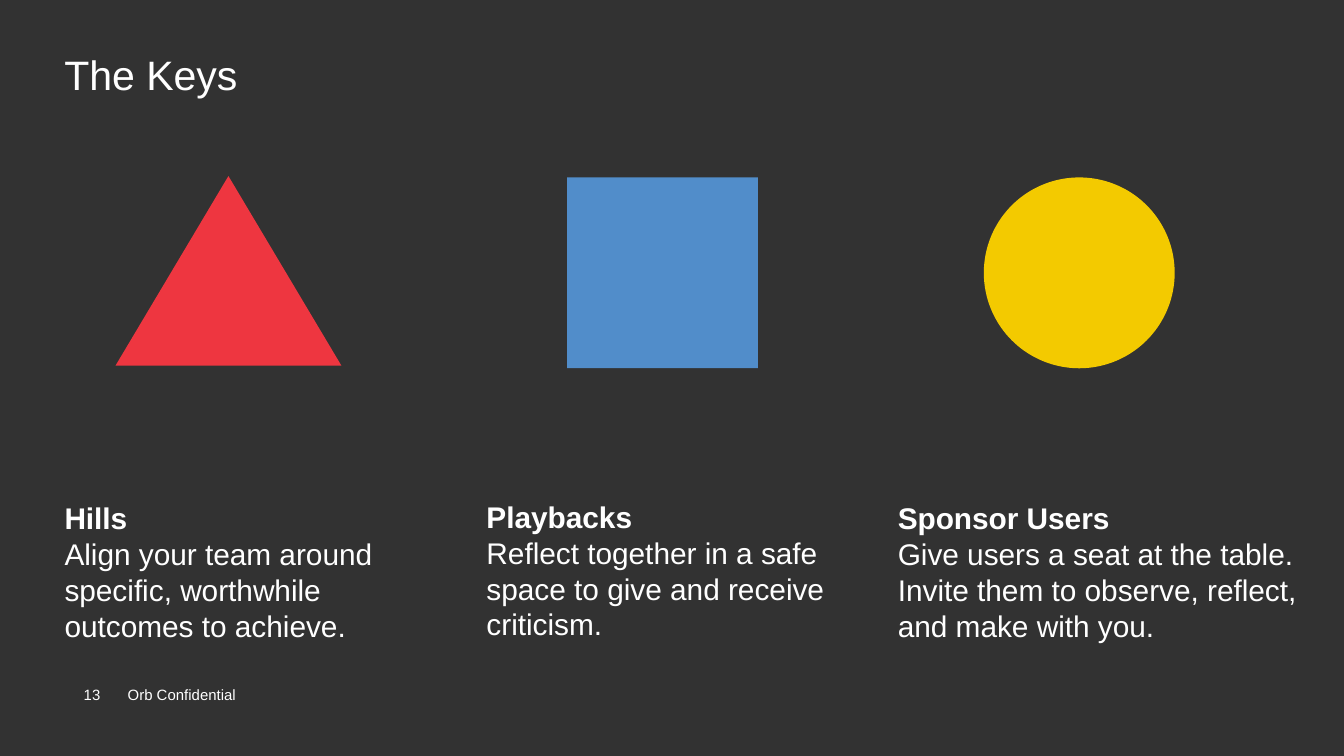
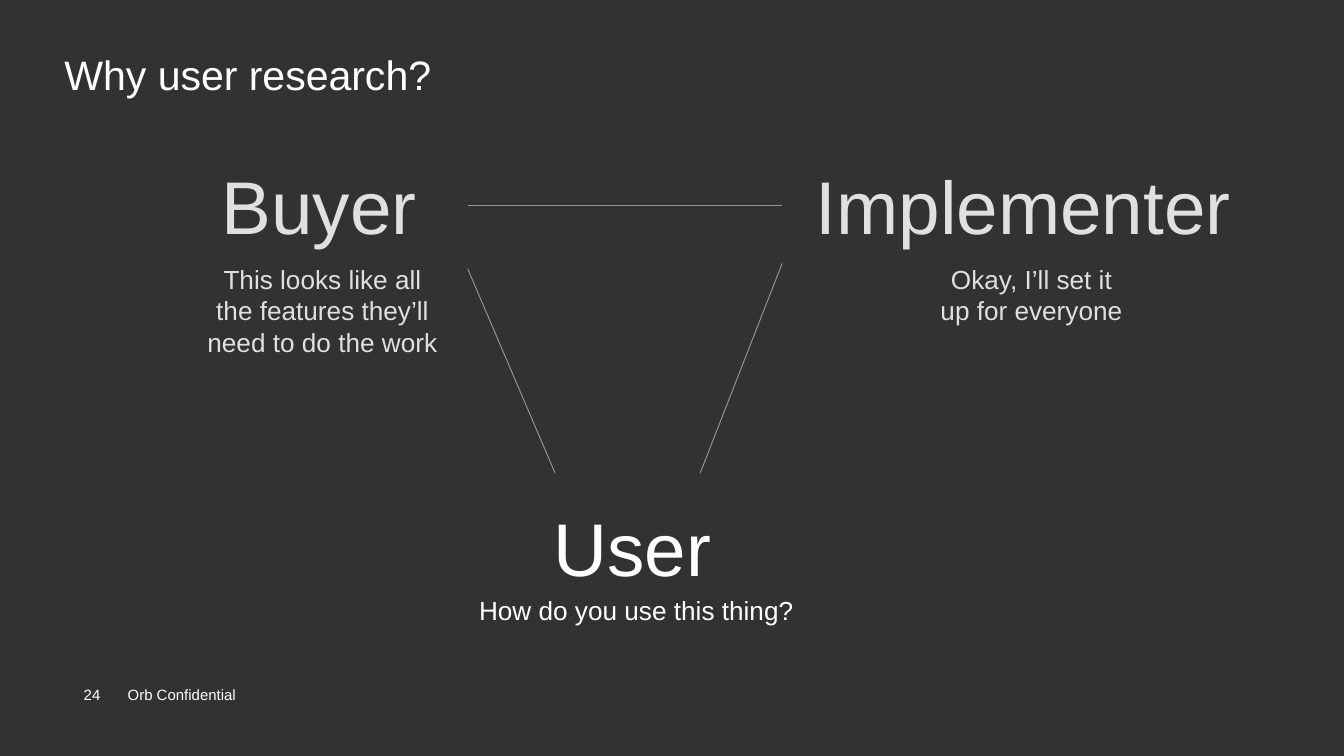
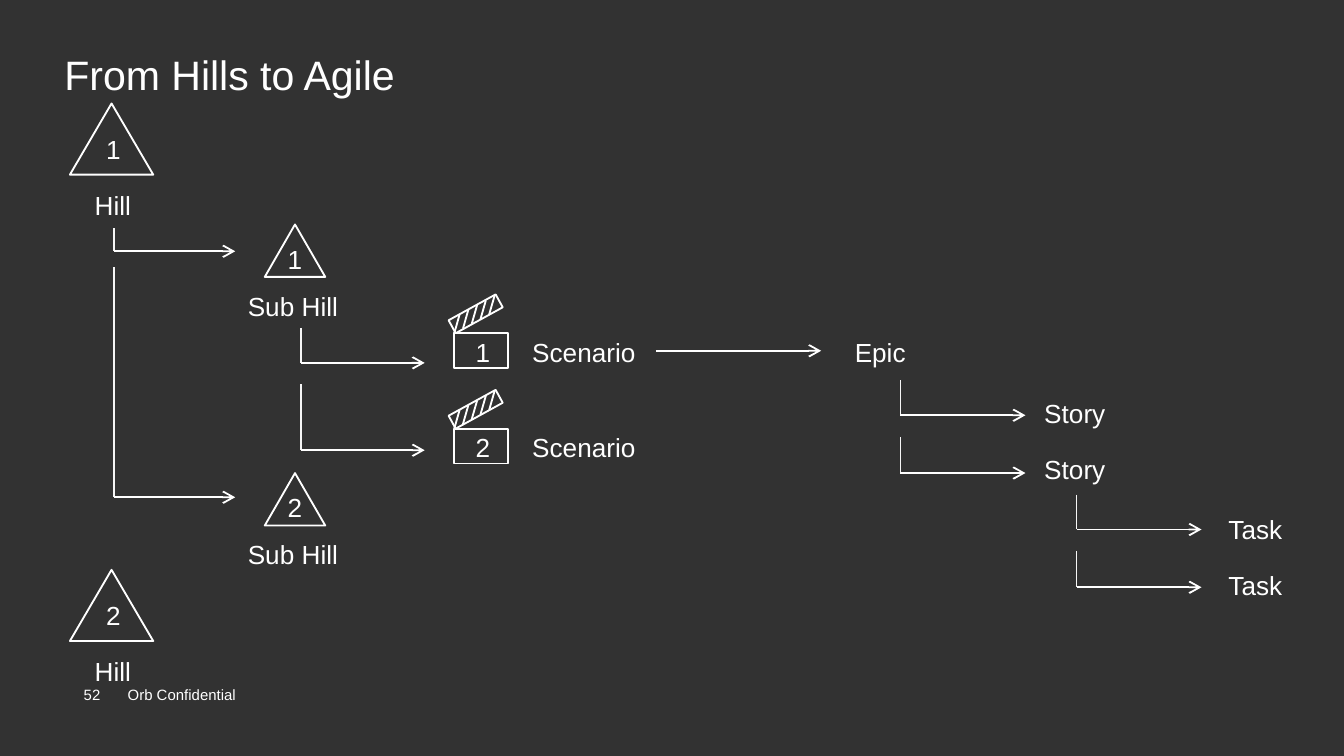
from dataclasses import dataclass
from typing import NamedTuple, Optional

from lxml import etree
from pptx import Presentation
from pptx import util as u
from pptx.dml import color as c
from pptx.enum import shapes, text
from pptx.oxml import ns


@dataclass(frozen=True)
class Theme:
    font: str = "Arial"
    back: str = "323232"
    white: str = "FFFFFF"
    stem: str = "F6F6F6"
    soft: str = "E0E0E0"
    grey: str = "959595"
    red: str = "EE3640"
    blue: str = "518DCA"
    yellow: str = "F3CA00"
    title: int = 22
    role: int = 40
    body: int = 16
    label: int = 14
    footer: int = 8
    thin: float = 0.5
    line: float = 1


THEME = Theme()
SHAPE = shapes.MSO_SHAPE
CENTER = text.PP_ALIGN.CENTER
MIDDLE = text.MSO_ANCHOR.MIDDLE
LABEL_HEIGHT = 0.24


class Key(NamedTuple):
    name: str
    detail: str
    left: float
    top: float
    width: float


class Role(NamedTuple):
    name: str
    left: float
    top: float
    width: float
    quote: str
    quote_left: float
    quote_top: float
    quote_width: float
    color: str


class HillStyle(NamedTuple):
    """Triangle place and size, with offsets of its number and label."""
    name: str
    left: float
    width: float
    height: float
    number_x: float
    number_y: float
    label_x: float
    label_y: float
    label_width: float


class Elbow(NamedTuple):
    left: float
    top: float
    right: float
    bottom: float


class Label(NamedTuple):
    words: str
    left: float
    top: float
    width: float


# Drawing helpers

def add_text(page, words: str, left: float, top: float, width: float,
             height: float = LABEL_HEIGHT, *, size: int = THEME.label,
             color: str = THEME.white, align=None, anchor=text.MSO_ANCHOR.TOP,
             wrap: bool = True, bold_first: bool = False,
             spacing: Optional[float] = None) -> None:
    box = page.shapes.add_textbox(*map(u.Inches, (left, top, width, height)))
    frame = box.text_frame
    frame.margin_left = frame.margin_right = 0
    frame.margin_top = frame.margin_bottom = 0
    frame.word_wrap = wrap
    frame.vertical_anchor = anchor
    for index, content in enumerate(words.split("\n")):
        para = frame.paragraphs[0] if index == 0 else frame.add_paragraph()
        para.alignment = align
        para.line_spacing = spacing
        span = para.add_run()
        span.text = content
        span.font.name = THEME.font
        span.font.size = u.Pt(size)
        span.font.bold = bold_first and index == 0
        span.font.color.rgb = c.RGBColor.from_string(color)


def paint(shape, fill: Optional[str] = None) -> None:
    """Fill a shape plainly, or outline it in white when no fill is given."""
    shape.shadow.inherit = False
    if fill:
        shape.fill.solid()
        shape.fill.fore_color.rgb = c.RGBColor.from_string(fill)
        shape.line.fill.background()
    else:
        shape.fill.background()
        shape.line.color.rgb = c.RGBColor.from_string(THEME.white)
        shape.line.width = u.Pt(THEME.line)


def add_shape(page, kind, left: float, top: float, width: float, height: float,
              *, fill: Optional[str] = None, rotation: float = 0) -> None:
    shape = page.shapes.add_shape(
        kind, *map(u.Inches, (left, top, width, height)))
    shape.rotation = rotation
    paint(shape, fill)


def add_line(page, x1: float, y1: float, x2: float, y2: float, *,
             color: str = THEME.white, width: float = THEME.line,
             arrow: bool = False) -> None:
    line = page.shapes.add_connector(
        shapes.MSO_CONNECTOR.STRAIGHT, *map(u.Inches, (x1, y1, x2, y2)))
    line.line.color.rgb = c.RGBColor.from_string(color)
    line.line.width = u.Pt(width)
    properties = line._element.spPr
    if arrow:
        outline = properties.find(ns.qn("a:ln"))
        etree.SubElement(outline, ns.qn("a:tailEnd"), type="arrow")
    etree.SubElement(properties, ns.qn("a:effectLst"))


def add_page(deck, title: str, number: int):
    """Add a dark page with its title, page number and footer."""
    page = deck.slides.add_slide(deck.slide_layouts[6])
    page.background.fill.solid()
    page.background.fill.fore_color.rgb = c.RGBColor.from_string(THEME.back)
    add_text(page, title, 0.48, 0.41, 9, 0.34, size=THEME.title, spacing=0.9)
    add_text(page, "Orb Confidential", 0.95, 5.06, 1.5, 0.22,
             size=THEME.footer, anchor=MIDDLE)
    add_text(page, str(number), 0.48, 5.06, 0.41, 0.22,
             size=THEME.footer, align=CENTER, anchor=MIDDLE)
    return page


# The Keys

KEYS = (
    Key("Hills", "Align your team around specific, worthwhile outcomes to achieve.",
        0.48, 3.72, 2.85),
    Key("Playbacks", "Reflect together in a safe space to give and receive criticism.",
        3.62, 3.71, 2.87),
    Key("Sponsor Users", "Give users a seat at the table. "
        "Invite them to observe, reflect, and make with you.", 6.68, 3.72, 2.98),
)


def build_keys(deck) -> None:
    page = add_page(deck, "The Keys", 13)
    for key in KEYS:
        add_text(page, f"{key.name}\n{key.detail}", key.left, key.top,
                 key.width, 1.12, size=THEME.body, bold_first=True)
    apex, *base = [(u.Inches(x), u.Inches(y))
                   for x, y in ((1.7, 1.31), (2.54, 2.72), (0.86, 2.72))]
    outline = page.shapes.build_freeform(*apex)
    outline.add_line_segments(base, close=True)
    paint(outline.convert_to_shape(), THEME.red)
    add_shape(page, SHAPE.RECTANGLE, 4.22, 1.32, 1.42, 1.42, fill=THEME.blue)
    add_shape(page, SHAPE.OVAL, 7.32, 1.32, 1.42, 1.42, fill=THEME.yellow)


# Why user research?

ROLES = (
    Role("Implementer", 6.07, 1.19, 3.21, "Okay, I’ll set it up for everyone",
         6.95, 1.96, 1.45, THEME.soft),
    Role("Buyer", 1.65, 1.19, 1.53,
         "This looks like all the features they’ll need to do the work",
         1.52, 1.96, 1.76, THEME.soft),
    Role("User", 4.12, 3.73, 1.25, "How do you use this thing?",
         3.52, 4.42, 2.43, THEME.white),
)
ROLE_LINKS = (
    (3.48, 1.53, 5.82, 1.53),
    (3.48, 2, 4.13, 3.52),
    (5.82, 1.96, 5.21, 3.52),
)


def build_research(deck) -> None:
    page = add_page(deck, "Why user research?", 24)
    for role in ROLES:
        add_text(page, role.name, role.left, role.top, role.width, 0.67,
                 size=THEME.role, color=role.color, anchor=MIDDLE, wrap=False)
        add_text(page, role.quote, role.quote_left, role.quote_top,
                 role.quote_width, color=role.color, align=CENTER)
    for link in ROLE_LINKS:
        add_line(page, *link, color=THEME.grey, width=THEME.thin)


# From Hills to Agile

HILL = HillStyle("Hill", 0.52, 0.62, 0.53, 0.27, 0.22, 0.16, 0.64, 0.32)
SUB_HILL = HillStyle("Sub Hill", 1.97, 0.45, 0.39, 0.17, 0.14, -0.17, 0.49, 0.76)
HILLS = ((HILL, 1, 0.77), (SUB_HILL, 1, 1.67), (SUB_HILL, 2, 3.52), (HILL, 2, 4.24))
SCENARIO_TOPS = (2.48, 3.19)
WORK_ITEMS = (
    Label("Epic", 6.36, 2.5, 0.68),
    Label("Story", 7.77, 2.96, 1.3),
    Label("Story", 7.77, 3.37, 1.3),
    Label("Task", 9.14, 3.82, 0.45),
    Label("Task", 9.14, 4.24, 0.45),
)
ELBOWS = (
    Elbow(0.85, 1.7, 1.75, 1.87),
    Elbow(0.85, 1.99, 1.75, 3.7),
    Elbow(2.24, 2.44, 3.16, 2.7),
    Elbow(2.24, 2.86, 3.16, 3.35),
    Elbow(6.7, 2.83, 7.63, 3.09),
    Elbow(6.7, 3.25, 7.63, 3.52),
    Elbow(8.01, 3.68, 8.94, 3.94),
    Elbow(8.01, 4.1, 8.94, 4.37),
)


def add_hill(page, style: HillStyle, number: int, top: float) -> None:
    add_text(page, str(number), style.left + style.number_x,
             top + style.number_y, 0.1)
    add_shape(page, SHAPE.ISOSCELES_TRIANGLE, style.left, top,
              style.width, style.height)
    add_text(page, style.name, style.left + style.label_x,
             top + style.label_y, style.label_width, align=CENTER)


def add_scenario(page, number: int, top: float) -> None:
    """Draw a numbered clapperboard with a striped, tilted arm."""
    left = 3.38
    add_shape(page, SHAPE.RECTANGLE, left, top, 0.4, 0.26)
    add_shape(page, SHAPE.RECTANGLE, left - 0.04, top - 0.2, 0.4, 0.11,
              rotation=331.2)
    for stripe in range(5):
        x, y = left + 0.065 * stripe, top - 0.035 * stripe
        add_line(page, x, y, x + 0.04, y - 0.14)
    add_text(page, str(number), left + 0.16, top + 0.02, 0.1)
    add_text(page, "Scenario", left + 0.58, top + 0.02, 0.92)


def add_elbow(page, elbow: Elbow) -> None:
    add_line(page, elbow.left, elbow.top, elbow.left, elbow.bottom,
             color=THEME.stem)
    add_line(page, elbow.left, elbow.bottom, elbow.right, elbow.bottom,
             arrow=True)


def build_agile(deck) -> None:
    page = add_page(deck, "From Hills to Agile", 52)
    for style, number, top in HILLS:
        add_hill(page, style, number, top)
    for number, top in enumerate(SCENARIO_TOPS, start=1):
        add_scenario(page, number, top)
    for item in WORK_ITEMS:
        add_text(page, item.words, item.left, item.top, item.width)
    for elbow in ELBOWS:
        add_elbow(page, elbow)
    add_line(page, 4.88, 2.61, 6.11, 2.61, arrow=True)


def main() -> None:
    deck = Presentation()
    deck.slide_width = u.Inches(10)
    deck.slide_height = deck.slide_width * 9 // 16
    build_keys(deck)
    build_research(deck)
    build_agile(deck)
    deck.save("out.pptx")


if __name__ == "__main__":
    main()
